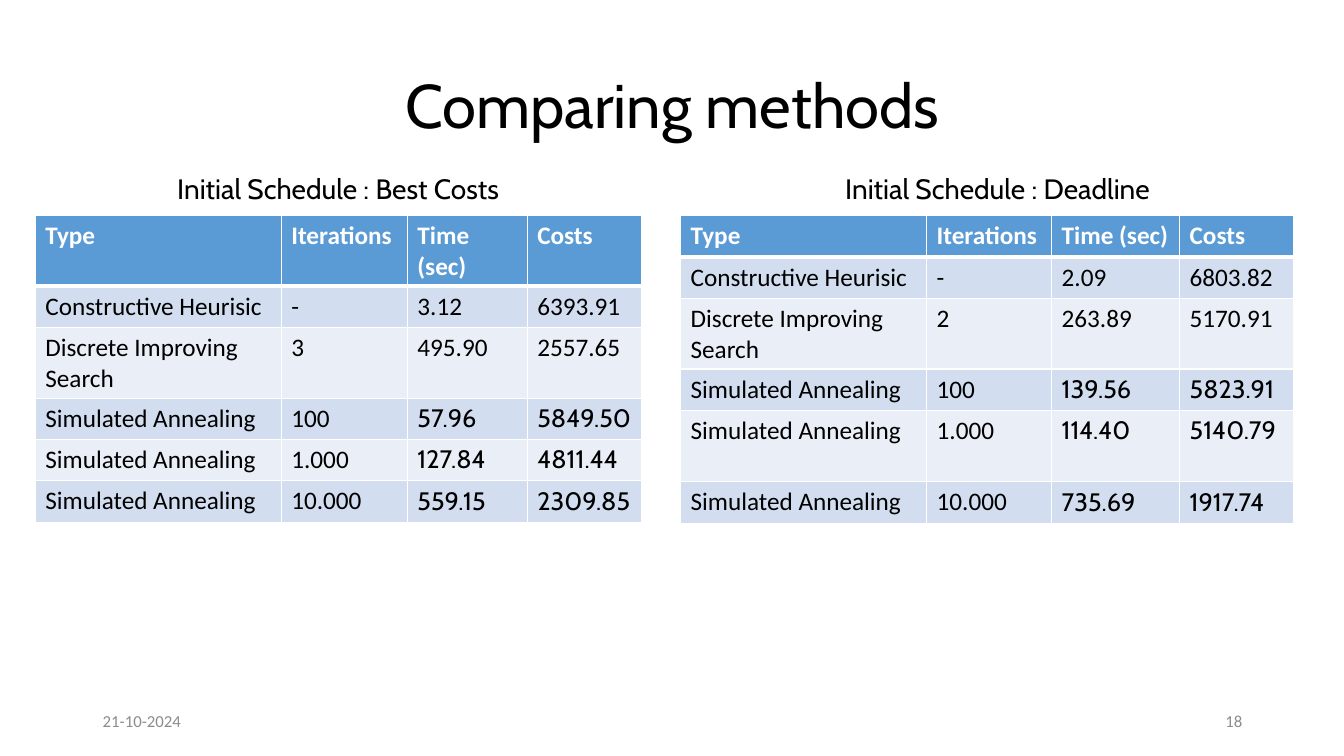
from dataclasses import dataclass

from lxml.etree import SubElement
from pptx import Presentation
from pptx.dml.color import RGBColor
from pptx.enum.text import MSO_ANCHOR, PP_ALIGN
from pptx.oxml.ns import qn
from pptx.util import Inches, Pt


@dataclass(frozen=True)
class Theme:
    heading_font: str = "Cabin"
    body_font: str = "Calibri"
    title_size: int = 44
    caption_size: int = 20
    table_size: int = 18
    footer_size: int = 12
    black: str = "000000"
    white: str = "FFFFFF"
    gray: str = "8C8C8C"
    header_fill: str = "5B9BD5"
    band_fills: tuple = ("D2DEEF", "EAEFF7")


THEME = Theme()
HEADERS = ("Type", "Iterations", "Time (sec)", "Costs")
METHODS = (
    ("Constructive Heurisic", THEME.body_font),
    ("Discrete Improving Search", THEME.body_font),
    ("Simulated Annealing", THEME.heading_font),
    ("Simulated Annealing", THEME.heading_font),
    ("Simulated Annealing", THEME.heading_font),
)
ROW_HEIGHT = 0.41
SCHEDULES = (
    {
        "caption": "Initial Schedule : Best Costs",
        "caption_left": 1.47,
        "left": 0.35,
        "widths": (2.44, 1.25, 1.19, 1.13),
        "heights": (ROW_HEIGHT,) * 6,
        "results": (
            ("-", "3.12", "6393.91"),
            ("3", "495.90", "2557.65"),
            ("100", "57.96", "5849.50"),
            ("1.000", "127.84", "4811.44"),
            ("10.000", "559.15", "2309.85"),
        ),
    },
    {
        "caption": "Initial Schedule : Deadline",
        "caption_left": 8.01,
        "left": 6.75,
        "widths": (2.44, 1.24, 1.27, 1.13),
        "heights": (ROW_HEIGHT,) * 4 + (0.71, ROW_HEIGHT),
        "results": (
            ("-", "2.09", "6803.82"),
            ("2", "263.89", "5170.91"),
            ("100", "139.56", "5823.91"),
            ("1.000", "114.40", "5140.79"),
            ("10.000", "735.69", "1917.74"),
        ),
    },
)


def write_text(frame, text, color, **font_values):
    para = frame.paragraphs[0]
    span = para.add_run()
    span.text = text
    span.font.color.rgb = RGBColor.from_string(color)
    for name, value in font_values.items():
        setattr(span.font, name, value)
    return para


def add_text(page, place, text, color, alignment, line_spacing=1.0, **font_values):
    box = page.shapes.add_textbox(*map(Inches, place))
    frame = box.text_frame
    frame.word_wrap = True
    frame.vertical_anchor = MSO_ANCHOR.MIDDLE
    para = write_text(frame, text, color, **font_values)
    para.alignment = alignment
    para.line_spacing = line_spacing


def add_heading(page, place, text, size):
    add_text(page, place, text, THEME.black, PP_ALIGN.CENTER, 0.9,
             name=THEME.heading_font, size=Pt(size))


def add_footer(page, left, text, alignment):
    add_text(page, (left, 6.95, 3, 0.4), text, THEME.gray, alignment,
             name=THEME.body_font, size=Pt(THEME.footer_size))


def set_borders(cell, top, bottom):
    """Draw white borders; top and bottom are widths in points."""
    properties = cell._tc.get_or_add_tcPr()
    for side, width in {"lnL": 1, "lnR": 1, "lnT": top, "lnB": bottom}.items():
        line = SubElement(properties, qn(f"a:{side}"), w=str(Pt(width)))
        fill = SubElement(line, qn("a:solidFill"))
        SubElement(fill, qn("a:srgbClr"), val=THEME.white)


def fill_cell(cell, text, row, font_name):
    header = row == 0
    set_borders(cell, top=3 if row == 1 else 1, bottom=3 if header else 1)
    cell.fill.solid()
    fill = THEME.header_fill if header else THEME.band_fills[(row - 1) % 2]
    cell.fill.fore_color.rgb = RGBColor.from_string(fill)
    write_text(cell.text_frame, text, THEME.white if header else THEME.black,
               name=font_name, size=Pt(THEME.table_size), bold=header)


def add_results_table(page, left, widths, heights, results):
    place = (left, 2.14, sum(widths), sum(heights))
    table = page.shapes.add_table(
        len(heights), len(widths), *map(Inches, place)).table
    for column, width in zip(table.columns, widths):
        column.width = Inches(width)
    for table_row, height in zip(table.rows, heights):
        table_row.height = Inches(height)

    for column, header in enumerate(HEADERS):
        fill_cell(table.cell(0, column), header, 0, THEME.body_font)
    for row, ((method, value_font), values) in enumerate(zip(METHODS, results), 1):
        for column, text in enumerate((method, *values)):
            font_name = value_font if column >= 2 else THEME.body_font
            fill_cell(table.cell(row, column), text, row, font_name)


def add_schedule(page, caption, caption_left, **table_values):
    add_results_table(page, **table_values)
    add_heading(page, (caption_left, 1.62, 3.77, 0.53), caption, THEME.caption_size)


def main():
    deck = Presentation()
    deck.slide_width = Inches(13.33)
    deck.slide_height = Inches(7.5)
    page = deck.slides.add_slide(deck.slide_layouts[6])

    add_heading(page, (0.92, 0.81, 11.5, 0.53), "Comparing methods", THEME.title_size)
    add_footer(page, 0.92, "21-10-2024", PP_ALIGN.LEFT)
    add_footer(page, 9.42, "18", PP_ALIGN.RIGHT)
    for schedule in SCHEDULES:
        add_schedule(page, **schedule)

    deck.save("out.pptx")


if __name__ == "__main__":
    main()
